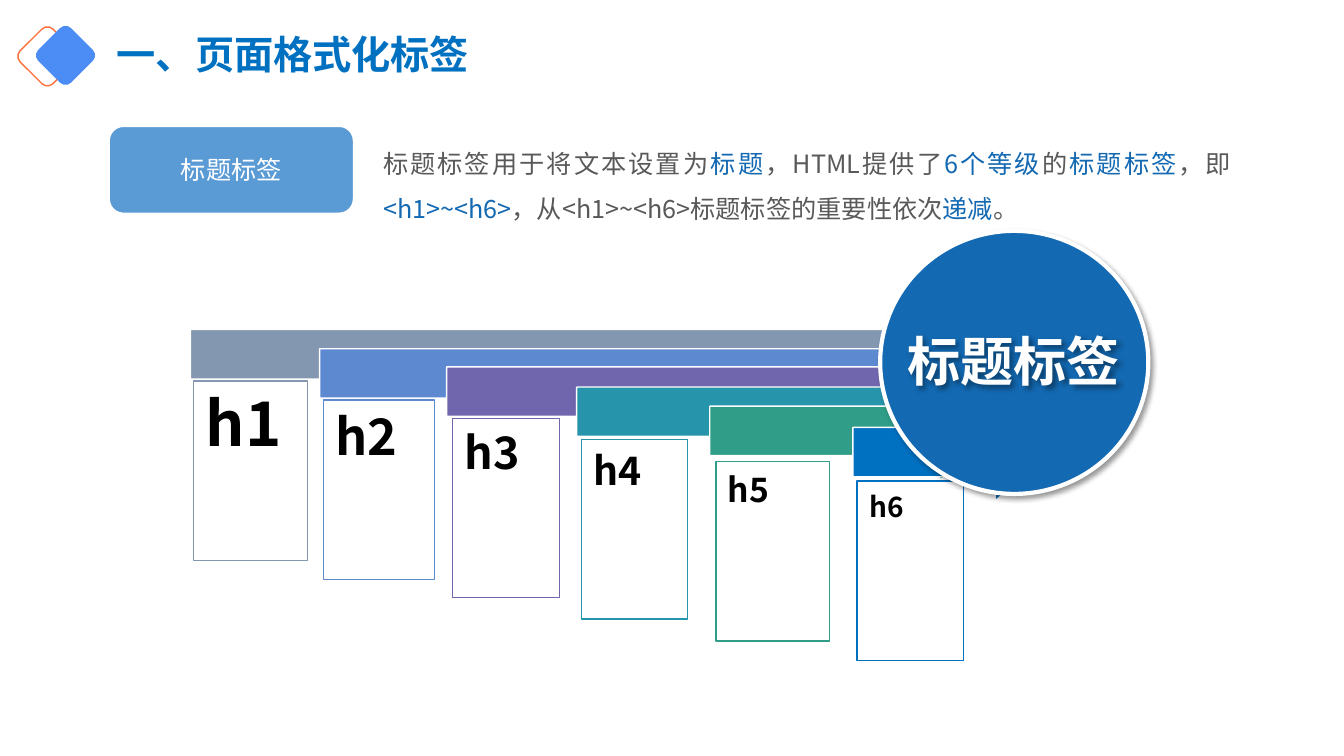
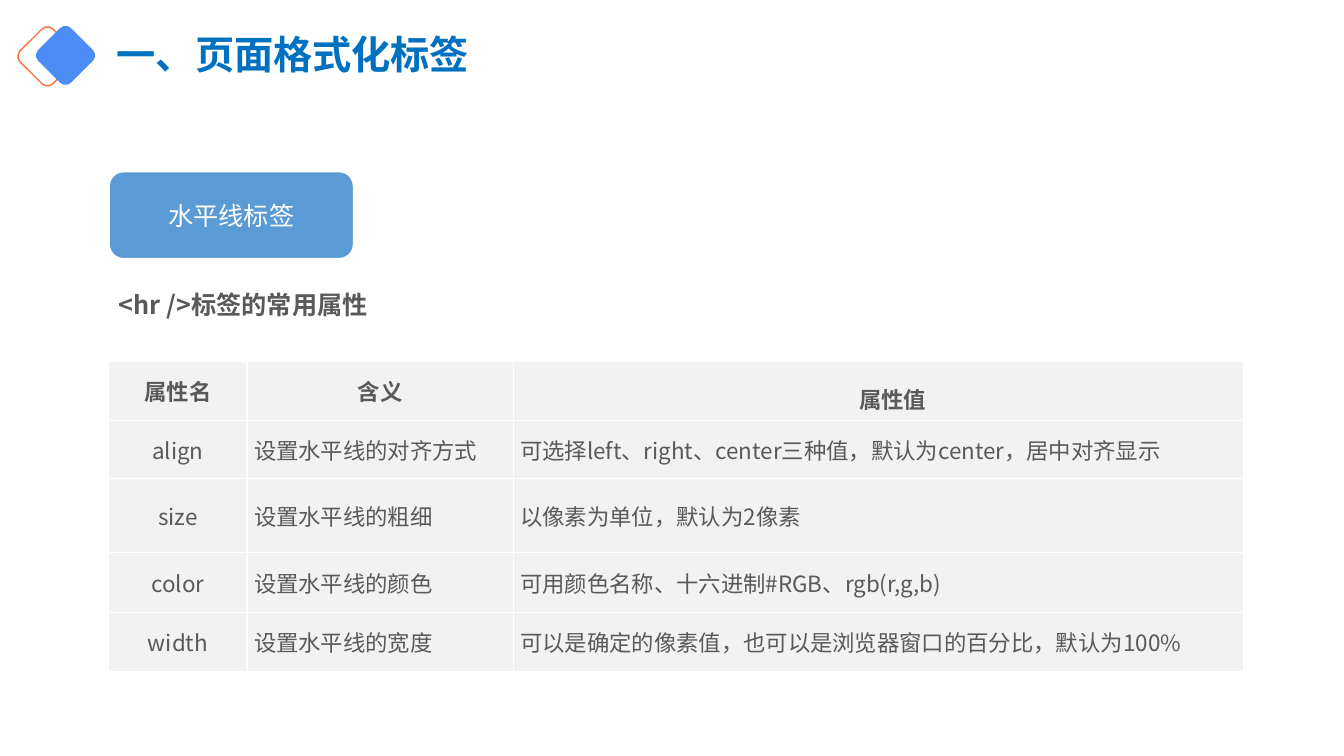
import pptx
import pptx.util
import pptx.dml.color
import pptx.enum.shapes
import pptx.enum.text
import pptx.oxml.ns
from dataclasses import dataclass
from lxml import etree

PX = 9144
KIND = pptx.enum.shapes.MSO_SHAPE
ALIGN = pptx.enum.text.PP_ALIGN
ANCHOR = pptx.enum.text.MSO_ANCHOR
Pt = pptx.util.Pt
qn = pptx.oxml.ns.qn


@dataclass(frozen=True)
class Theme:
    face: str = "Noto Sans CJK SC"
    title: str = "0070C0"
    orange: str = "FD703B"
    gem: str = "4C8CF5"
    badge: str = "5B9BD5"
    accent: str = "1369B2"
    ink: str = "595959"
    black: str = "000000"
    white: str = "FFFFFF"
    cell: str = "F2F2F2"
    head: int = 28
    body: int = 18
    grid: int = 16
    disc: int = 38


T = Theme()

STEPS = [
    ("h1", 44, "8497B0", (189, 303, 900, 955), (192, 378, 113)),
    ("h2", 36, "5D89D1", (317, 322, 915, 973), (321, 397, 110)),
    ("h3", 32, "7066AE", (443, 340, 926, 989), (449, 415, 106)),
    ("h4", 28, "2694AA", (572, 360, 935, 1005), (577, 436, 105)),
    ("h5", 24, "2F9D88", (704, 379, 932, 1021), (710, 458, 113)),
    ("h6", 20, "0070C0", (846, 400, 987, 1042), (850, 477, 106)),
]

INTRO = [
    ("标题标签用于将文本设置为", T.ink), ("标题", T.accent),
    ("，HTML提供了", T.ink), ("6个等级", T.accent), ("的", T.ink),
    ("标题标签", T.accent), ("，即", T.ink), ("<h1>~<h6>", T.accent),
    ("，从<h1>~<h6>标题标签的重要性依次", T.ink), ("递减", T.accent),
    ("。", T.ink),
]

COLS = [137, 264, 724]
ROWS = [58, 58, 73, 60, 58]
CELLS = [
    ("属性名", "含义", "属性值"),
    ("align", "设置水平线的对齐方式", "可选择left、right、center三种值，默认为center，居中对齐显示"),
    ("size", "设置水平线的粗细", "以像素为单位，默认为2像素"),
    ("color", "设置水平线的颜色", "可用颜色名称、十六进制#RGB、rgb(r,g,b)"),
    ("width", "设置水平线的宽度", "可以是确定的像素值，也可以是浏览器窗口的百分比，默认为100%"),
]


def rgb(hue):
    return pptx.dml.color.RGBColor.from_string(hue)


def place(*nums):
    return [n * PX for n in nums]


def inset(frame, side, top):
    frame.margin_left = frame.margin_right = side * PX
    frame.margin_top = frame.margin_bottom = top * PX


def paint(shape, fill=None, line=None, width=1):
    shape.shadow.inherit = False
    if fill:
        shape.fill.solid()
        shape.fill.fore_color.rgb = rgb(fill)
    else:
        shape.fill.background()
    if line:
        shape.line.color.rgb = rgb(line)
        shape.line.width = Pt(width)
    else:
        shape.line.fill.background()


def write(frame, runs, size, hue, bold=False, align=ALIGN.LEFT, space=None):
    para = frame.paragraphs[0]
    para.alignment = align
    if space:
        para.line_spacing = space
    font = para.font
    font.size, font.bold, font.name = Pt(size), bold, T.face
    font.color.rgb = rgb(hue)
    props = para._p.pPr.find(qn("a:defRPr"))
    etree.SubElement(props, qn("a:ea"), typeface=T.face)
    if isinstance(runs, str):
        runs = [(runs, hue)]
    for text, tint in runs:
        run = para.add_run()
        run.text = text
        if tint != hue:
            run.font.color.rgb = rgb(tint)
    return para


def label(slide, box, runs, size, hue, pad=(10, 5), wrap=True,
          anchor=ANCHOR.TOP, **style):
    shape = slide.shapes.add_textbox(*place(*box))
    frame = shape.text_frame
    frame.word_wrap = wrap
    frame.vertical_anchor = anchor
    inset(frame, *pad)
    write(frame, runs, size, hue, **style)
    return shape


def solid(slide, kind, box, fill=None, line=None, width=1):
    shape = slide.shapes.add_shape(kind, *place(*box))
    paint(shape, fill, line, width)
    return shape


def shade(shape):
    shape.shadow.inherit = False
    effects = shape._element.spPr.find(qn("a:effectLst"))
    outer = etree.SubElement(effects, qn("a:outerShdw"), blurRad=str(Pt(4)),
                             dist=str(Pt(3)), dir="2700000", algn="tl",
                             rotWithShape="0")
    hue = etree.SubElement(outer, qn("a:srgbClr"), val=T.black)
    etree.SubElement(hue, qn("a:alpha"), val="40000")


def badge(slide, top, text):
    shape = solid(slide, KIND.ROUNDED_RECTANGLE, (108, top, 243, 87),
                  T.badge, T.white, 1.5)
    shape.text_frame.vertical_anchor = ANCHOR.MIDDLE
    write(shape.text_frame, text, T.body, T.white, align=ALIGN.CENTER)


def arrow(slide, hue, left, top, neck, tip):
    high, low, mid, end = top + 24, top + 73, top + 49, top + 97
    pen = slide.shapes.build_freeform(left, high, scale=PX)
    pen.add_line_segments([(neck, high), (neck, top), (tip, mid),
                           (neck, end), (neck, low), (left, low)])
    paint(pen.convert_to_shape(), hue, T.white)


def step(slide, name, size, hue, shaft, card):
    arrow(slide, hue, *shaft)
    box = solid(slide, KIND.RECTANGLE, (*card, 178), T.white, hue)
    frame = box.text_frame
    frame.vertical_anchor = ANCHOR.TOP
    inset(frame, 12, 12)
    write(frame, name, size, T.black, bold=True, space=0.9)


def border(cell):
    props = cell._tc.get_or_add_tcPr()
    for side in ("lnL", "lnR", "lnT", "lnB"):
        line = etree.SubElement(props, qn("a:" + side), w=str(Pt(1)))
        fill = etree.SubElement(line, qn("a:solidFill"))
        etree.SubElement(fill, qn("a:srgbClr"), val=T.white)


def grid(slide, left, top):
    box = place(left, top, sum(COLS), sum(ROWS))
    table = slide.shapes.add_table(len(ROWS), len(COLS), *box).table
    table.first_row = table.horz_banding = False
    for col, width in zip(table.columns, COLS):
        col.width = width * PX
    for r, texts in enumerate(CELLS):
        table.rows[r].height = ROWS[r] * PX
        for c, text in enumerate(texts):
            cell = table.cell(r, c)
            last = r == 0 and c == 2
            border(cell)
            cell.fill.solid()
            cell.fill.fore_color.rgb = rgb(T.cell)
            inset(cell, 7, 5)
            cell.vertical_anchor = ANCHOR.TOP if last else ANCHOR.MIDDLE
            mid = r == 0 or c == 0
            para = write(cell.text_frame, text, T.grid, T.ink, bold=r == 0,
                         align=ALIGN.CENTER if mid else ALIGN.JUSTIFY,
                         space=1.5 if last else None)
            if last:
                para._p.pPr.set("indent", str(29 * PX))


def page(deck):
    slide = deck.slides.add_slide(deck.slide_layouts[6])
    for box, fill, line in [((24, 33, 46, 46), None, T.orange),
                            ((42, 32, 46, 46), T.gem, None)]:
        solid(slide, KIND.ROUNDED_RECTANGLE, box, fill, line).rotation = 45
    label(slide, (106, 17, 513, 79), "一、页面格式化标签", T.head, T.title,
          anchor=ANCHOR.MIDDLE, bold=True, space=0.9)
    return slide


def levels(deck):
    slide = page(deck)
    for item in STEPS:
        step(slide, *item)
    shade(solid(slide, KIND.OVAL, (873, 229, 266, 261), T.accent, T.white, 3))
    shade(label(slide, (890, 321, 231, 74), "标题标签", T.disc, T.white,
                wrap=False, bold=True))
    label(slide, (367, 125, 867, 104), INTRO, T.body, T.ink, pad=(13, 7),
          align=ALIGN.JUSTIFY, space=1.5)
    badge(slide, 125, "标题标签")


def rules(deck):
    slide = page(deck)
    badge(slide, 170, "水平线标签")
    grid(slide, 108, 359)
    label(slide, (105, 265, 867, 59), "<hr />标签的常用属性", T.body, T.ink,
          pad=(13, 7), bold=True, align=ALIGN.JUSTIFY, space=1.5)


def main():
    deck = pptx.Presentation()
    deck.slide_width, deck.slide_height = place(1333, 750)
    levels(deck)
    rules(deck)
    deck.save("out.pptx")


if __name__ == "__main__":
    main()
